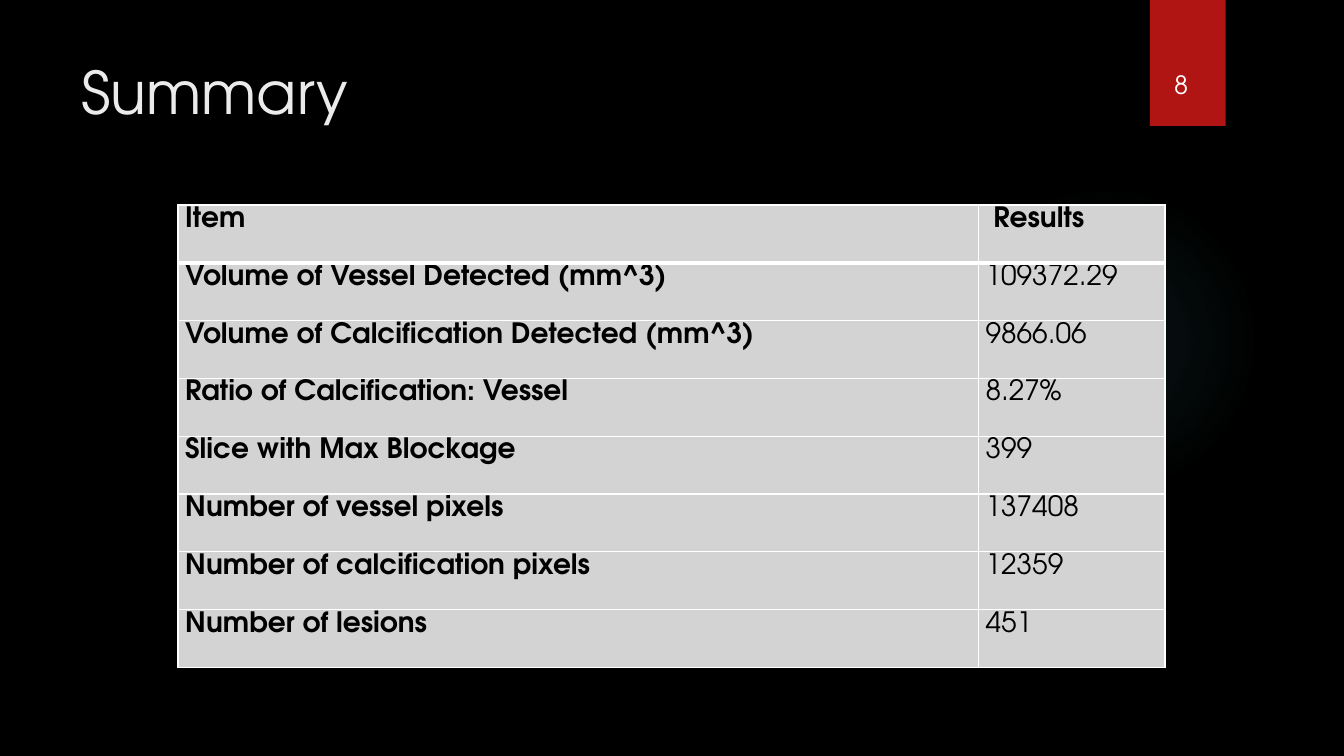
from dataclasses import dataclass

from lxml.etree import SubElement
from pptx import Presentation
from pptx.dml.color import RGBColor as Rgb
from pptx.enum.shapes import MSO_SHAPE as Shape
from pptx.enum.text import MSO_ANCHOR as Anchor, PP_ALIGN as Align
from pptx.oxml.ns import qn
from pptx.util import Inches, Pt

TITLE_ONLY = 5
GRID_COLUMNS, GRID_ROWS = 16, 9
SLIDE_WIDTH, SLIDE_HEIGHT = Inches(13.33), Inches(7.5)


@dataclass(frozen=True)
class Theme:
    font: str = "TeX Gyre Adventor"
    background: str = "000000"
    heading: str = "EBEBEB"
    ribbon: str = "B01513"
    glow: str = "50B9C1"
    cell: str = "D3D3D3"
    ink: str = "000000"
    light: str = "FFFFFF"
    title_size: int = 42
    number_size: int = 18
    table_size: int = 20
    thin: int = 1
    thick: int = 3


THEME = Theme()

SUMMARY = [
    ("Item", " Results"),
    ("Volume of Vessel Detected (mm^3)", "109372.29"),
    ("Volume of Calcification Detected (mm^3)", "9866.06"),
    ("Ratio of Calcification: Vessel", "8.27%"),
    ("Slice with Max Blockage", "399"),
    ("Number of vessel pixels", "137408"),
    ("Number of calcification pixels", "12359"),
    ("Number of lesions", "451"),
]
SUMMARY_COLUMNS = (9.53, 2.22)
SUMMARY_HEIGHT = 5.51
GLOW_STOPS = ((0, 7), (36, 6), (69, 0))


def across(columns):
    return int(SLIDE_WIDTH * columns / GRID_COLUMNS)


def down(rows):
    return int(SLIDE_HEIGHT * rows / GRID_ROWS)


def area(left, top, width, height):
    return across(left), down(top), across(width), down(height)


def apply(target, values):
    for name, value in values.items():
        setattr(target, name, value)


def write(frame, text, size, color, bold=False, spacing=1.0):
    line = frame.paragraphs[0]
    line.text = text
    apply(line, {"alignment": Align.LEFT, "line_spacing": spacing})
    letters = line.runs[0].font
    apply(letters, {"name": THEME.font, "size": Pt(size), "bold": bold})
    letters.color.rgb = Rgb.from_string(color)


def add_plain_shape(slide, kind, place, color):
    shape = slide.shapes.add_shape(kind, *area(*place))
    shape.shadow.inherit = False
    shape.fill.solid()
    shape.fill.fore_color.rgb = Rgb.from_string(color)
    shape.line.fill.background()
    return shape


def add_glow(slide, place):
    glow = add_plain_shape(slide, Shape.OVAL, place, THEME.glow)
    solid = glow.element.spPr.find(qn("a:solidFill"))
    gradient = solid.makeelement(qn("a:gradFill"), {"rotWithShape": "1"})
    stops = SubElement(gradient, qn("a:gsLst"))
    for position, opacity in GLOW_STOPS:
        stop = SubElement(stops, qn("a:gs"), pos=str(position * 1000))
        color = SubElement(stop, qn("a:srgbClr"), val=THEME.glow)
        SubElement(color, qn("a:alpha"), val=str(opacity * 1000))
    circle = SubElement(gradient, qn("a:path"), path="circle")
    SubElement(circle, qn("a:fillToRect"), dict.fromkeys("ltrb", "50000"))
    solid.getparent().replace(solid, gradient)


def set_title(slide, text, place):
    title = slide.shapes.title
    apply(title, dict(zip(("left", "top", "width", "height"), area(*place))))
    apply(title.text_frame, {"word_wrap": True, "vertical_anchor": Anchor.TOP})
    write(title.text_frame, text, THEME.title_size, THEME.heading)


def add_page_number(slide, text, place):
    frame = slide.shapes.add_textbox(*area(*place)).text_frame
    frame.word_wrap = True
    write(frame, text, THEME.number_size, THEME.light)


def set_borders(cell, widths):
    properties = cell._tc.get_or_add_tcPr()
    for side, width in widths.items():
        border = SubElement(properties, qn(f"a:ln{side}"), w=str(Pt(width)))
        fill = SubElement(border, qn("a:solidFill"))
        SubElement(fill, qn("a:srgbClr"), val=THEME.light)


def format_cell(cell, text, row, column):
    apply(cell, {
        "margin_left": Inches(0.07), "margin_right": Inches(0.07),
        "margin_top": 0, "margin_bottom": 0, "vertical_anchor": Anchor.TOP,
    })
    set_borders(cell, {
        "L": THEME.thin,
        "R": THEME.thin,
        "T": THEME.thick if row == 1 else THEME.thin,
        "B": THEME.thick if row == 0 else THEME.thin,
    })
    cell.fill.solid()
    cell.fill.fore_color.rgb = Rgb.from_string(THEME.cell)
    label = row == 0 or column == 0
    write(cell.text_frame, text, THEME.table_size, THEME.ink, label, 1.07)


def add_summary_table(slide, left, top):
    place = area(left, top, sum(SUMMARY_COLUMNS), SUMMARY_HEIGHT)
    table = slide.shapes.add_table(len(SUMMARY), len(SUMMARY_COLUMNS), *place).table
    table.horz_banding = False
    for column, width in zip(table.columns, SUMMARY_COLUMNS):
        column.width = across(width)
    for row, entries in enumerate(SUMMARY):
        table.rows[row].height = down(SUMMARY_HEIGHT / len(SUMMARY))
        for column, text in enumerate(entries):
            format_cell(table.cell(row, column), text, row, column)


def main():
    deck = Presentation()
    apply(deck, {"slide_width": SLIDE_WIDTH, "slide_height": SLIDE_HEIGHT})
    slide = deck.slides.add_slide(deck.slide_layouts[TITLE_ONLY])
    slide.background.fill.solid()
    slide.background.fill.fore_color.rgb = Rgb.from_string(THEME.background)
    add_glow(slide, (11.29, 2.2, 3.7, 3.7))
    add_plain_shape(slide, Shape.RECTANGLE, (13.69, 0, 0.9, 1.5), THEME.ribbon)
    set_title(slide, "Summary", (0.85, 0.6, 12.35, 1.84))
    add_page_number(slide, "8", (13.86, 0.77, 0.66, 0.48))
    add_summary_table(slide, 2.12, 2.44)
    deck.save("out.pptx")


if __name__ == "__main__":
    main()
